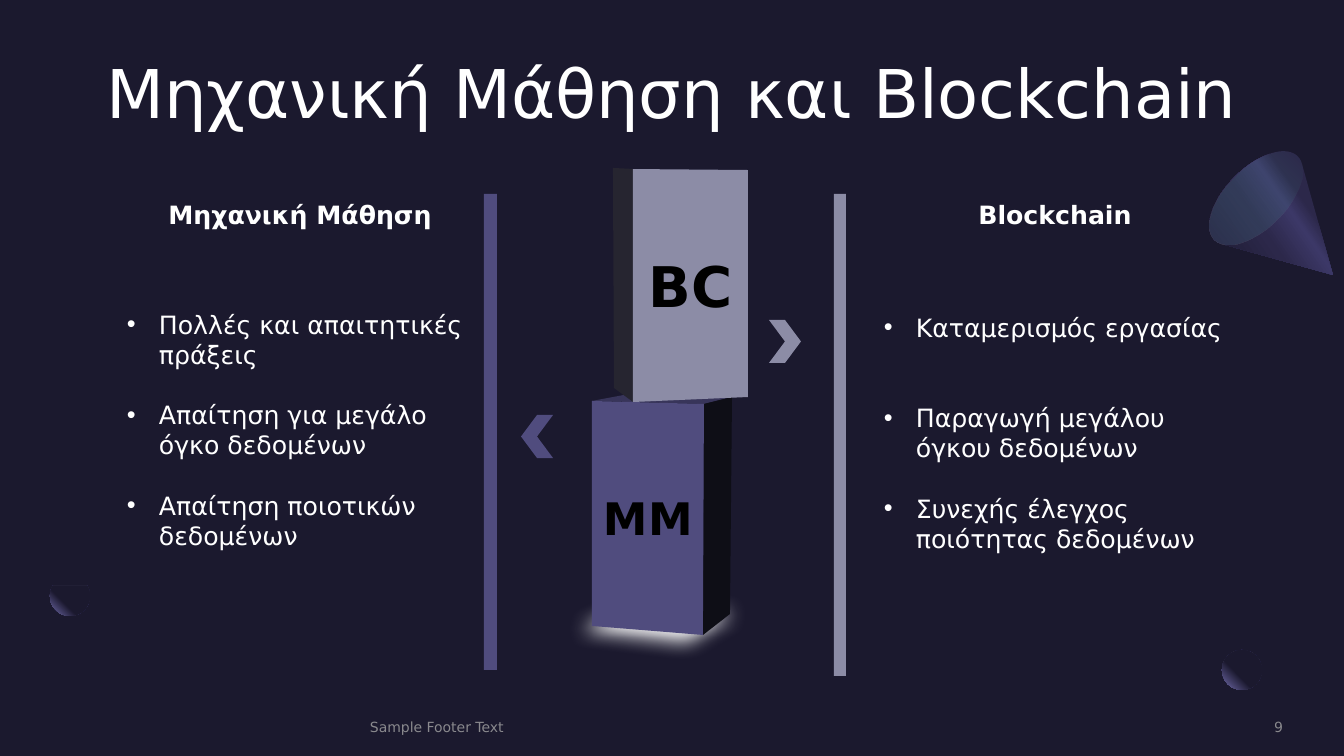
import math
from dataclasses import dataclass

import pptx
import pptx.dml.color
import pptx.enum.shapes
import pptx.enum.text
import pptx.oxml
import pptx.oxml.ns
import pptx.util

PX = 9144000 / 1008  # EMU in one px
NS = 'xmlns:a="http://schemas.openxmlformats.org/drawingml/2006/main"'
SHAPE = pptx.enum.shapes.MSO_SHAPE
ALIGN = pptx.enum.text.PP_ALIGN
ANCHOR = pptx.enum.text.MSO_ANCHOR


@dataclass(frozen=True)
class Theme:
    font: str = "DejaVu Sans"
    back: str = "1B192E"
    white: str = "FFFFFF"
    black: str = "000000"
    grey: str = "A6A6A6"
    purple: str = "504C7E"
    purple_top: str = "38355A"
    purple_side: str = "0E0E16"
    silver: str = "8C8CA6"
    silver_side: str = "262530"
    title: float = 48
    big_label: float = 40
    label: float = 32
    body: float = 18
    footer: float = 10
    moon: tuple = ((60, "1B192E", 100), (100, "7771B2", 100))
    cone: tuple = ((30, "2C284A", 100), (40, "3C3867", 100),
                   (60, "2C284A", 100), (100, "1B192E", 100))
    cone_base: tuple = ((0, "454075", 33), (100, "5BEFC1", 0))


T = Theme()
MOON_PATH = '<a:path path="circle"><a:fillToRect l="100000" b="100000"/></a:path>'


def emu(px):
    return round(px * PX)


def rgb(color):
    return pptx.dml.color.RGBColor.from_string(color)


def linear(angle):
    return f'<a:lin ang="{angle * 60000}" scaled="0"/>'


def arc(cx, cy, rx, ry, start, end, turn=0):
    """Points along an ellipse, angles in degrees, the ellipse turned by turn."""
    points = []
    cos, sin = math.cos(math.radians(turn)), math.sin(math.radians(turn))
    for i in range(41):
        t = math.radians(start + (end - start) * i / 40)
        x, y = rx * math.cos(t), ry * math.sin(t)
        points.append((cx + x * cos - y * sin, cy + x * sin + y * cos))
    return points


class Deck:
    def __init__(self):
        self.prs = pptx.Presentation()
        self.prs.slide_width, self.prs.slide_height = emu(1344), emu(756)
        self.s = self.prs.slides.add_slide(self.prs.slide_layouts[6])
        fill = self.s.background.fill
        fill.solid()
        fill.fore_color.rgb = rgb(T.back)

    def alpha(self, element, percent):
        for clr in element.iter(pptx.oxml.ns.qn("a:srgbClr")):
            clr.append(pptx.oxml.parse_xml(f'<a:alpha {NS} val="{percent * 1000}"/>'))

    def plain(self, sp, color):
        sp.shadow.inherit = False
        sp.line.fill.background()
        sp.fill.solid()
        sp.fill.fore_color.rgb = rgb(color)
        return sp

    def shape(self, kind, x, y, w, h, color=T.back, rotation=0):
        sp = self.s.shapes.add_shape(kind, emu(x), emu(y), emu(w), emu(h))
        sp.rotation = rotation
        return self.plain(sp, color)

    def polygon(self, points, color=T.back):
        first, *rest = [(emu(x), emu(y)) for x, y in points]
        builder = self.s.shapes.build_freeform(*first, scale=1.0)
        builder.add_line_segments(rest, close=True)
        return self.plain(builder.convert_to_shape(), color)

    def gradient(self, sp, stops, direction):
        gs = "".join(
            f'<a:gs pos="{pos * 1000}"><a:srgbClr val="{color}">'
            f'<a:alpha val="{a * 1000}"/></a:srgbClr></a:gs>'
            for pos, color, a in stops)
        grad = pptx.oxml.parse_xml(
            f'<a:gradFill {NS} rotWithShape="1"><a:gsLst>{gs}</a:gsLst>{direction}</a:gradFill>')
        spPr = sp._element.spPr
        spPr.replace(spPr.find(pptx.oxml.ns.qn("a:solidFill")), grad)

    def soften(self, sp, radius):
        effects = sp._element.spPr.find(pptx.oxml.ns.qn("a:effectLst"))
        effects.append(pptx.oxml.parse_xml(f'<a:softEdge {NS} rad="{emu(radius)}"/>'))

    def run(self, p, text, color=T.white, **fmt):
        r = p.add_run()
        r.text = text
        for name, value in {"name": T.font, **fmt}.items():
            setattr(r.font, name, pptx.util.Pt(value) if name == "size" else value)
        r.font.color.rgb = rgb(color)
        return r

    def frame(self, sp, anchor=ANCHOR.TOP, inset=None):
        tf = sp.text_frame
        tf.word_wrap = True
        tf.vertical_anchor = anchor
        if inset is not None:
            for side in ("left", "top", "right", "bottom"):
                setattr(tf, f"margin_{side}", emu(inset))
        return tf

    def text(self, x, y, w, h, text, align, anchor=ANCHOR.TOP, inset=None, **fmt):
        sp = self.s.shapes.add_textbox(emu(x), emu(y), emu(w), emu(h))
        p = self.frame(sp, anchor, inset).paragraphs[0]
        p.alignment = align
        return p, self.run(p, text, **fmt)

    def label(self, sp, text, size):
        p = self.frame(sp, ANCHOR.MIDDLE, 0).paragraphs[0]
        p.alignment = ALIGN.CENTER
        r = self.run(p, text, T.black, size=size, bold=True)
        r.font._element.set("spc", "50")

    def bullets(self, x, y, w, h, items):
        """Each item is its text and the space before it in points."""
        sp = self.s.shapes.add_textbox(emu(x), emu(y), emu(w), emu(h))
        tf = self.frame(sp)
        for i, (text, gap) in enumerate(items):
            p = tf.add_paragraph() if i else tf.paragraphs[0]
            if gap:
                p.space_before = pptx.util.Pt(gap)
            pPr = p._p.get_or_add_pPr()
            pPr.set("marL", str(emu(32)))
            pPr.set("indent", str(-emu(32)))
            pPr.append(pptx.oxml.parse_xml(f'<a:buFont {NS} typeface="Arial"/>'))
            pPr.append(pptx.oxml.parse_xml(f'<a:buChar {NS} char="•"/>'))
            self.run(p, text, size=T.body)


def main():
    d = Deck()

    # Moons in the lower corners
    moon = d.shape(SHAPE.OVAL, 1222, 650, 40, 40)
    d.gradient(moon, T.moon, MOON_PATH)
    veil = d.shape(SHAPE.RECTANGLE, 1262, 642, 41, 40)
    d.alpha(veil._element.spPr, 80)
    crescent = d.polygon(arc(70, 596, 20, 20, -30, 210))
    d.gradient(crescent, T.moon, MOON_PATH)

    # Cone on the right
    cone = d.polygon([(1333, 275)] + arc(1256, 198, 30, 59, 74, 286, turn=45))
    d.gradient(cone, T.cone, linear(145))
    base = d.shape(SHAPE.OVAL, 1226, 139, 60, 118, rotation=225)
    d.gradient(base, T.cone_base, linear(90))

    # Title and footer
    p, _ = d.text(60, 60, 1224, 80, "Μηχανική Μάθηση και Blockchain",
                  ALIGN.CENTER, inset=0, size=T.title)
    p.line_spacing = 0.9
    for x, w, text, align in ((370, 704, "Sample Footer Text", ALIGN.LEFT),
                              (1097, 186, "9", ALIGN.RIGHT)):
        _, r = d.text(x, 718, w, 17, text, align, ANCHOR.MIDDLE, 0,
                      color=T.grey, size=T.footer)
        d.alpha(r.font._element, 80)

    # Stacked blocks with a glow under them
    glow = d.polygon([(621, 578), (806, 601), (701, 666), (504, 643)], T.white)
    d.soften(glow, 20)
    d.polygon([(592, 401), (640, 392), (732, 397), (704, 404)], T.purple_top)
    d.polygon([(704, 404), (732, 397), (730, 614), (703, 635)], T.purple_side)
    mm = d.polygon([(592, 401), (704, 404), (703, 635), (592, 626)], T.purple)
    d.label(mm, "ΜΜ", T.label)
    d.polygon([(613, 168), (633, 169), (633, 402), (614, 388)], T.silver_side)
    bc = d.polygon([(633, 169), (748, 170), (748, 397), (633, 402)], T.silver)
    d.label(bc, "BC", T.big_label)

    # Bars and chevrons
    d.shape(SHAPE.RECTANGLE, 834, 194, 12, 482, T.silver)
    d.shape(SHAPE.RECTANGLE, 484, 194, 13, 476, T.purple)
    d.shape(SHAPE.CHEVRON, 769, 320, 32, 43, T.silver)
    d.shape(SHAPE.CHEVRON, 521, 415, 32, 43, T.purple, rotation=180)

    # Columns
    columns = (
        (124, "Μηχανική Μάθηση", 117, 304,
         [("Πολλές και απαιτητικές πράξεις", 0),
          ("Απαίτηση για μεγάλο όγκο δεδομένων", 21.5),
          ("Απαίτηση ποιοτικών δεδομένων", 21.5)]),
        (879, "Blockchain", 874, 307,
         [("Καταμερισμός εργασίας", 0),
          ("Παραγωγή μεγάλου όγκου δεδομένων", 43),
          ("Συνεχής έλεγχος ποιότητας δεδομένων", 21.5)]),
    )
    for head_x, head, x, y, items in columns:
        d.text(head_x, 194, 352, 40, head, ALIGN.CENTER, size=T.body, bold=True)
        d.bullets(x, y, 360, 254, items)

    d.prs.save("out.pptx")


if __name__ == "__main__":
    main()
